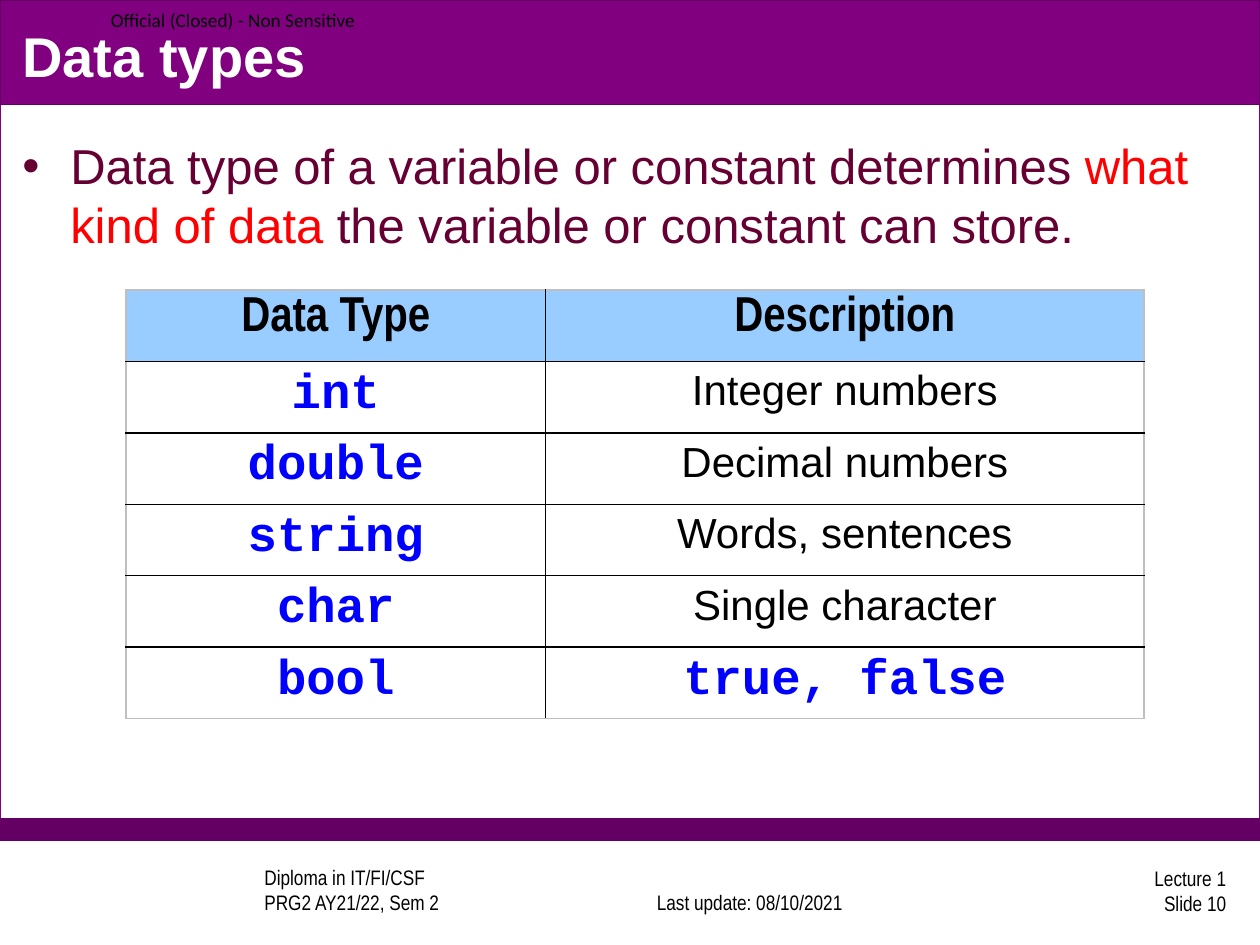
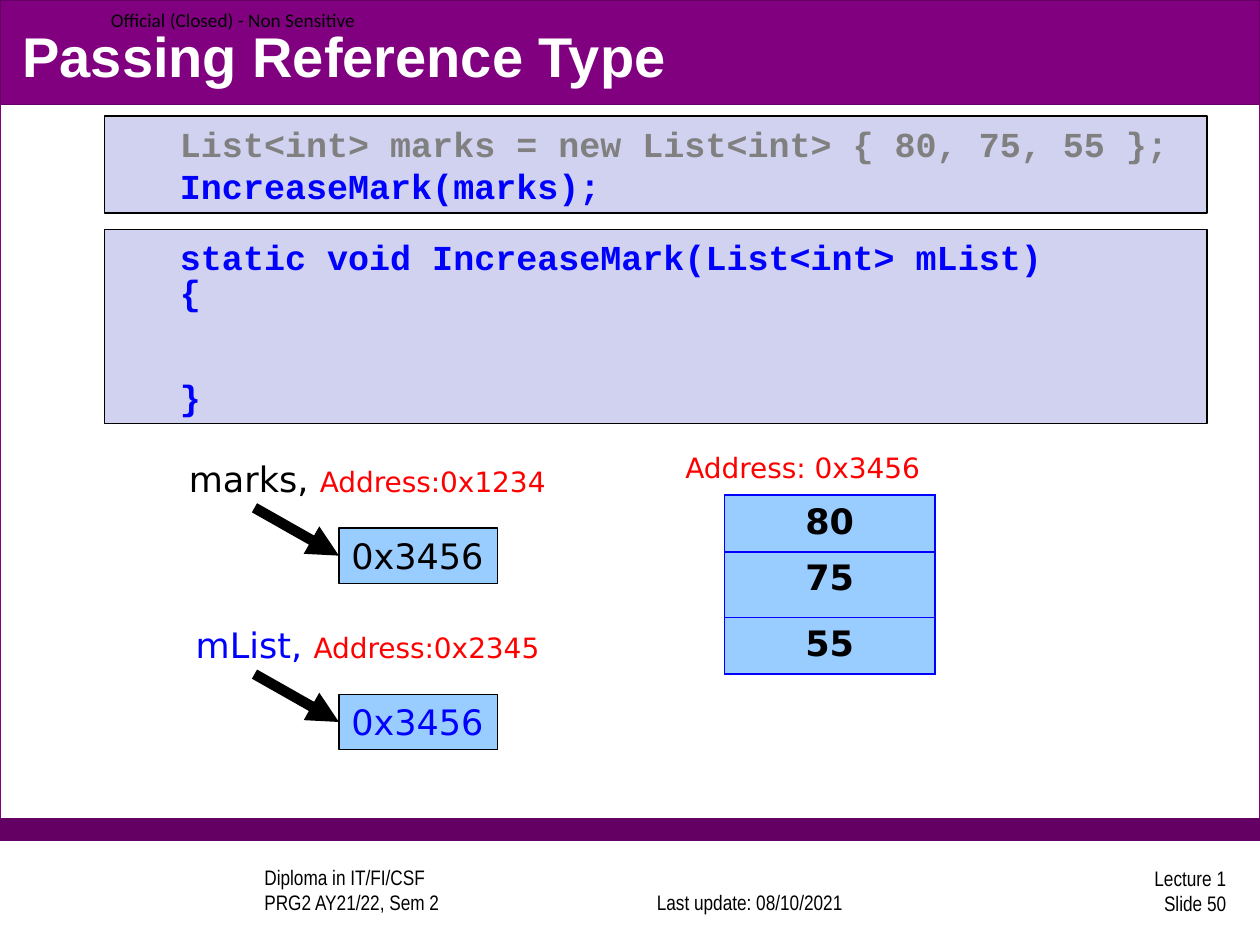
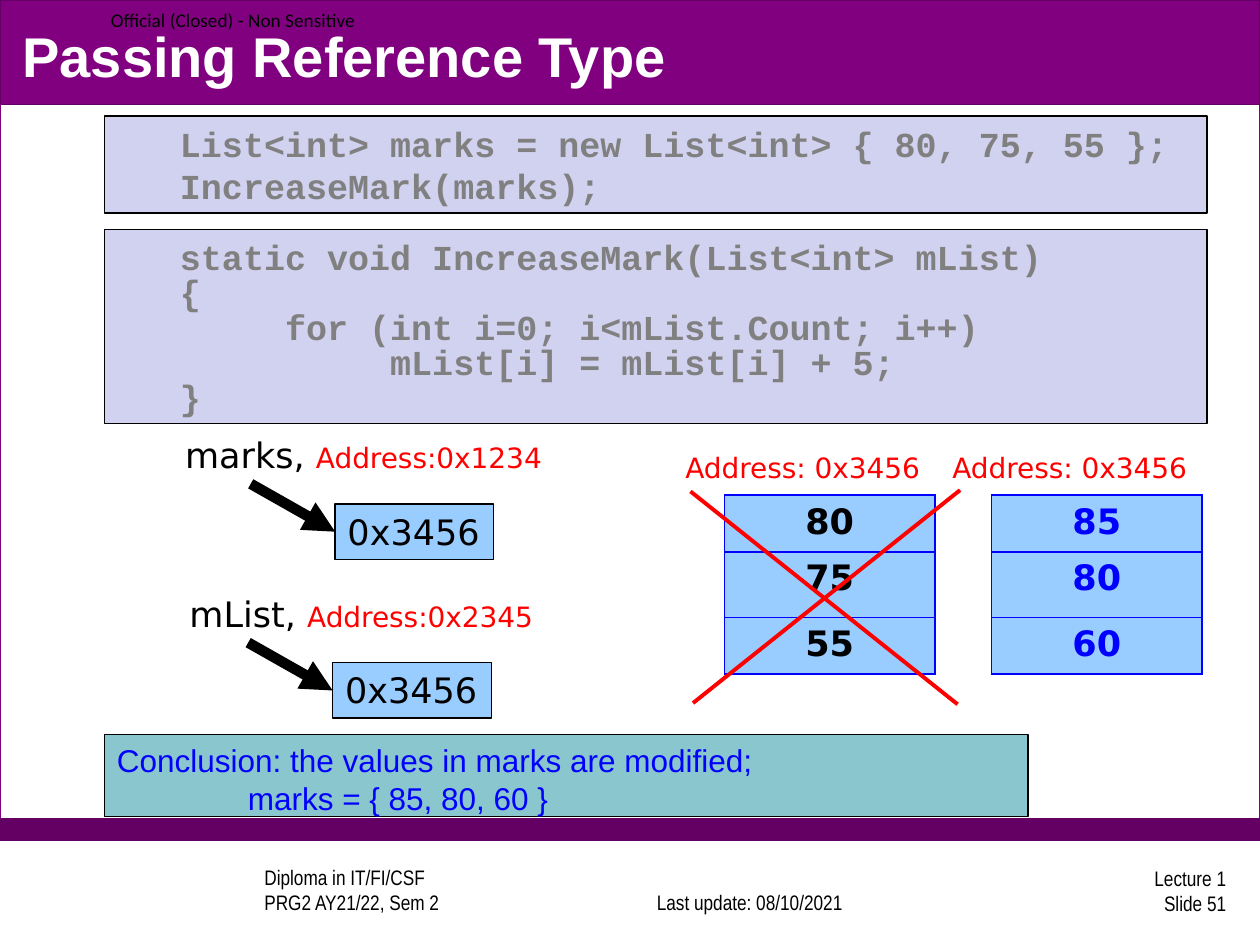
from lxml import etree
from pptx import Presentation
from pptx.dml.color import RGBColor
from pptx.enum.shapes import MSO_CONNECTOR as Conn, MSO_SHAPE as Kind
from pptx.enum.text import MSO_ANCHOR as Anchor, PP_ALIGN as Align
from pptx.oxml import parse_xml
from pptx.oxml.ns import nsdecls, qn
from pptx.util import Inches, Pt

HUES = {
    "white": "FFFFFF", "black": "000000", "gray": "808080", "edge": "BFBFBF",
    "purple": "800080", "plum": "640064", "wine": "660033",
    "red": "FF0000", "blue": "0000FF", "sky": "99CCFF",
    "lilac": "D1D1F0", "teal": "8AC6CD",
}
SANS, NARROW, CODE, MEMO = "Arial", "Arial Narrow", "Courier New", "DejaVu Sans"

INTRO = [
    ("Data type of a variable or constant determines ", {}),
    ("what kind of data ", {"hue": "red"}),
    ("the variable or constant can store.", {}),
]
HEADS = ["Data Type", "Description"]
TYPES = [
    ("int", "Integer numbers"),
    ("double", "Decimal numbers"),
    ("string", "Words, sentences"),
    ("char", "Single character"),
    ("bool", "true, false"),
]
CALL = ["List<int> marks = new List<int> { 80, 75, 55 };", "IncreaseMark(marks);"]
OPEN = ["static void IncreaseMark(List<int> mList)", "{"]
LOOP = ["     for (int i=0; i<mList.Count; i++)",
        "          mList[i] = mList[i] + 5;"]
OLD, NEW = ["80", "75", "55"], ["85", "80", "60"]
MARKS = ("marks, ", "Address:0x1234", 3.12)
MLIST = ("mList, ", "Address:0x2345", 3.01)
TARGET = "0x3456"
CROSS = [(5.48, 3.9, 7.6, 5.59), (7.62, 3.89, 5.5, 5.58)]


def rgb(hue):
    return RGBColor.from_string(HUES[hue])


def style(font, face=None, size=None, hue=None, bold=None):
    if face:
        font.name = face
    if size:
        font.size = Pt(size)
    if hue:
        font.color.rgb = rgb(hue)
    if bold is not None:
        font.bold = bold


def put(para, text, indent=0, hang=0, bullet=None, align=Align.LEFT, **look):
    """Fill a paragraph with a string or with (text, look) runs."""
    para.alignment = align
    props = para._p.get_or_add_pPr()
    if indent:
        props.set("marL", str(Inches(indent)))
        props.set("indent", str(Inches(-hang)))
    if bullet:
        etree.SubElement(props, qn("a:buFont")).set("typeface", SANS)
        etree.SubElement(props, qn("a:buChar")).set("char", bullet)
    style(para.font, **look)
    runs = [(text, {})] if isinstance(text, str) else text
    for words, extra in runs:
        run = para.add_run()
        run.text = words
        style(run.font, **extra)


def fill(shape, lines, anchor=Anchor.TOP, wrap=True, **look):
    """Write one paragraph per line and return the paragraphs."""
    frame = shape.text_frame
    frame.word_wrap = wrap
    frame.vertical_anchor = anchor
    paras = [frame.paragraphs[0]] + [frame.add_paragraph() for _ in lines[1:]]
    for para, line in zip(paras, lines):
        put(para, line, **look)
    return paras


def label(slide, at, lines, **look):
    box = slide.shapes.add_textbox(*map(Inches, at))
    fill(box, lines, **look)
    return box


def rect(slide, at, hue, line="black"):
    box = slide.shapes.add_shape(Kind.RECTANGLE, *map(Inches, at))
    box.shadow.inherit = False
    box.fill.solid()
    box.fill.fore_color.rgb = rgb(hue)
    box.line.color.rgb = rgb(line)
    box.line.width = Pt(0.75)
    return box


def line(slide, ends, hue, width):
    link = slide.shapes.add_connector(Conn.STRAIGHT, *map(Inches, ends))
    link.line.color.rgb = rgb(hue)
    link.line.width = Pt(width)
    etree.SubElement(link._element.spPr, qn("a:effectLst"))
    return link


def grid(slide, x, y, cols, rows, inner, outer):
    """Add an unstyled table with 1 pt borders and return it."""
    size = sum(cols), sum(rows)
    frame = slide.shapes.add_table(len(rows), len(cols),
                                   *map(Inches, (x, y, *size)))
    table = frame.table
    table.first_row = table.horz_banding = False
    for col, width in zip(table.columns, cols):
        col.width = Inches(width)
    for row, height in zip(table.rows, rows):
        row.height = Inches(height)
    for r in range(len(rows)):
        for c in range(len(cols)):
            cell = table.cell(r, c)
            rims = {"L": c == 0, "R": c == len(cols) - 1,
                    "T": r == 0, "B": r == len(rows) - 1}
            for side, rim in rims.items():
                hue = HUES[outer if rim else inner]
                cell._tc.get_or_add_tcPr().append(parse_xml(
                    f'<a:ln{side} {nsdecls("a")} w="12700"><a:solidFill>'
                    f'<a:srgbClr val="{hue}"/></a:solidFill></a:ln{side}>'))
            cell.fill.background()
    return table


def tint(cell, hue):
    cell.fill.solid()
    cell.fill.fore_color.rgb = rgb(hue)


def start(deck, title, number):
    """Add a slide with the shared bands, footers and title."""
    slide = deck.slides.add_slide(deck.slide_layouts[6])
    rect(slide, (0, 0, 10, 6.67), "white", "purple")
    rect(slide, (0, 6.5, 10, 0.17), "plum", "plum")
    rect(slide, (0, 0, 10, 0.83), "purple", "plum")
    foot = dict(face=NARROW, size=12, hue="black")
    label(slide, (1.5, 6.89, 3.17, 0.42),
          ["Diploma in IT/FI/CSF", "PRG2 AY21/22, Sem 2"],
          anchor=Anchor.BOTTOM, indent=0.5, **foot)
    label(slide, (4.91, 6.89, 2.08, 0.42), ["Last update: 08/10/2021"],
          anchor=Anchor.BOTTOM, align=Align.CENTER, **foot)
    label(slide, (7.75, 6.86, 2.08, 0.42), ["Lecture 1", f"Slide {number}"],
          anchor=Anchor.MIDDLE, align=Align.RIGHT, **foot)
    mark = label(slide, (0.88, 0, 2.13, 0.31),
                 ["Official (Closed) - Non Sensitive"],
                 anchor=Anchor.MIDDLE, face="Calibri", size=11, hue="black")
    frame = mark.text_frame
    frame.margin_left = frame.margin_right = 0
    frame.margin_top = frame.margin_bottom = 0
    label(slide, (0.08, 0.13, 9.83, 0.62), [title], anchor=Anchor.MIDDLE,
          face=SANS, size=32, hue="white", bold=True)
    return slide


def code(slide, y, height, lines, hue):
    box = rect(slide, (0.83, y, 8.75, height), "lilac")
    return fill(box, lines, indent=0.5, face=CODE, size=20, hue=hue, bold=True)


def method(slide, body, hue):
    paras = code(slide, 1.82, 1.54, OPEN + body + ["}"], hue)
    for para in paras[1:]:
        para.line_spacing = Pt(20)
    return paras


def pointer(slide, x, y, var, hue):
    """Draw a variable label with an arrow to its value box at x, y."""
    name, address, width = var
    box = rect(slide, (x, y, 1.26, 0.44), "sky")
    fill(box, [TARGET], wrap=False, face=MEMO, size=20, hue=hue)
    arrow = line(slide, (x - 0.67, y - 0.16, x, y + 0.22), "black", 6)
    arrow.end_connect(box, 1)
    etree.SubElement(arrow.line._get_or_add_ln(),
                     qn("a:tailEnd")).set("type", "triangle")
    runs = [(name, dict(size=20, hue=hue)),
            (address, dict(size=16, hue="red"))]
    label(slide, (x + 0.27 - width / 2, y - 0.61, width, 0.44), [runs],
          wrap=False, face=MEMO)


def memory(slide, x, values, hue):
    """Draw the list in memory below its address."""
    label(slide, (x - 0.41, 3.53, 2.12, 0.37), [f"Address: {TARGET}"],
          wrap=False, face=MEMO, size=16, hue="red")
    table = grid(slide, x, 3.93, [1.67], [0.45, 0.52, 0.45], "blue", "blue")
    for r, value in enumerate(values):
        cell = table.cell(r, 0)
        tint(cell, "sky")
        put(cell.text_frame.paragraphs[0], value, align=Align.CENTER,
            face=MEMO, size=20, hue=hue, bold=True)


def types_slide(deck):
    slide = start(deck, "Data types", 10)
    label(slide, (0.08, 1.03, 9.83, 5.39), [INTRO], indent=0.38, hang=0.38,
          bullet="•", face=SANS, size=28, hue="wine")
    table = grid(slide, 1, 2.3, [3.33, 4.75], [0.54] * 6, "black", "edge")
    head = dict(face=NARROW, size=28, hue="black", bold=True)
    word = dict(face=CODE, size=28, hue="blue", bold=True)
    plain = dict(face=SANS, size=24, hue="black", bold=False)
    for r, row in enumerate([HEADS] + TYPES):
        for c, text in enumerate(row):
            cell = table.cell(r, c)
            look = plain
            if r == 0:
                look = head
                tint(cell, "sky")
            elif c == 0 or r == len(TYPES):
                look = word
            put(cell.text_frame.paragraphs[0], text, align=Align.CENTER, **look)


def call_slide(deck):
    slide = start(deck, "Passing Reference Type", 50)
    paras = code(slide, 0.92, 0.77, CALL, "gray")
    style(paras[1].font, hue="blue")
    pointer(slide, 2.69, 4.19, MARKS, "black")
    pointer(slide, 2.69, 5.51, MLIST, "blue")
    memory(slide, 5.75, OLD, "black")
    method(slide, [], "blue")[-1].space_before = Pt(40)


def result_slide(deck):
    slide = start(deck, "Passing Reference Type", 51)
    code(slide, 0.92, 0.77, CALL, "gray")
    method(slide, LOOP, "gray")
    pointer(slide, 2.66, 4, MARKS, "black")
    pointer(slide, 2.64, 5.26, MLIST, "black")
    memory(slide, 7.87, NEW, "blue")
    note = rect(slide, (0.83, 5.83, 7.33, 0.65), "teal")
    paras = fill(note, ["Conclusion: the values in marks are modified;",
                        "marks = { 85, 80, 60 }"],
                 face=SANS, size=18, hue="blue")
    paras[1]._p.get_or_add_pPr().set("marL", str(Inches(1.04)))
    memory(slide, 5.75, OLD, "black")
    for ends in CROSS:
        line(slide, ends, "red", 2.25)


def main():
    deck = Presentation()
    deck.slide_width, deck.slide_height = Inches(10), Inches(7.5)
    types_slide(deck)
    call_slide(deck)
    result_slide(deck)
    deck.save("out.pptx")


if __name__ == "__main__":
    main()
